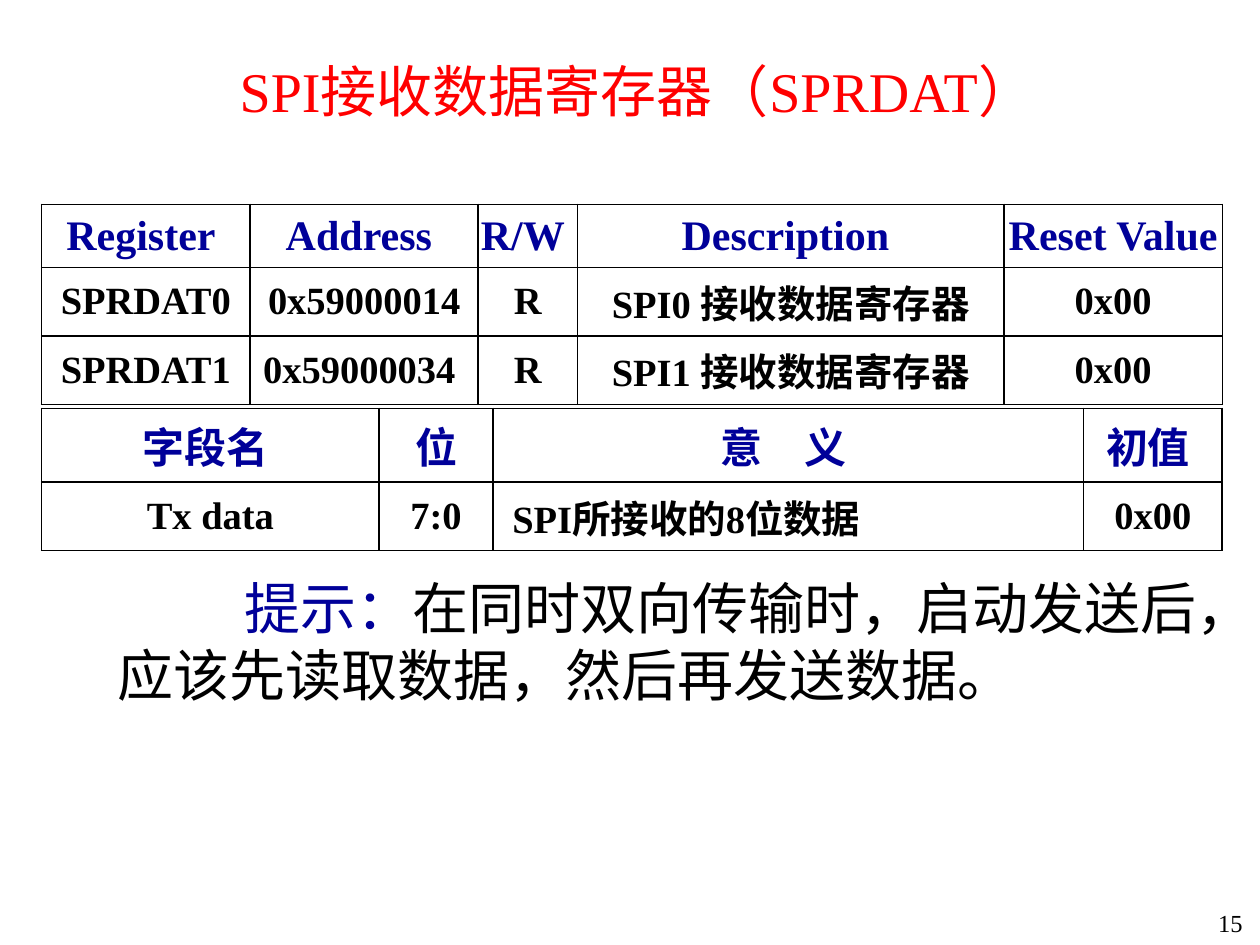
import pptx
import pptx.dml.color
import pptx.enum.text
import pptx.oxml
import pptx.oxml.ns
import pptx.util

Cm, Pt = pptx.util.Cm, pptx.util.Pt
RGBColor = pptx.dml.color.RGBColor
ALIGN = pptx.enum.text.PP_ALIGN
ANCHOR = pptx.enum.text.MSO_ANCHOR
RED = RGBColor(0xFF, 0, 0)
NAVY = RGBColor(0, 0, 0x99)
BLACK = RGBColor(0, 0, 0)
FONT = "Times New Roman"
HANG = 0.95
HEAD = {"size": Pt(24), "bold": True}
BODY = {"size": Pt(22), "bold": True}
LARGE = {"size": Pt(32), "bold": False}
FRAME = {"word_wrap": True, "vertical_anchor": ANCHOR.TOP,
         "auto_size": pptx.enum.text.MSO_AUTO_SIZE.NONE}
CELL = {"vertical_anchor": ANCHOR.MIDDLE, "margin_left": 0, "margin_right": 0,
        "margin_top": Cm(0.13), "margin_bottom": Cm(0.13)}

REGISTERS = [
    ["Register ", "Address ", "R/W ", "Description ", "Reset Value "],
    ["SPRDAT0", "0x59000014", "R", "SPI0 接收数据寄存器", "0x00"],
    ["SPRDAT1", "0x59000034 ", "R", "SPI1 接收数据寄存器", "0x00"],
]
FIELDS = [
    ["字段名 ", "位", "意　义 ", "初值 "],
    ["Tx data", "7:0", "SPI所接收的8位数据", "0x00"],
]


def apply(obj, values):
    """Set each attribute of obj from a dict of values."""
    for name, value in values.items():
        setattr(obj, name, value)


def add_run(p, text, color, fmt):
    """Append a formatted run to a paragraph."""
    r = p.add_run()
    r.text = text
    apply(r.font, {"name": FONT, **fmt})
    r.font.color.rgb = color


def set_indent(p, left, first):
    """Set the left margin and first-line indent, in centimetres."""
    pPr = p._p.get_or_add_pPr()
    pPr.set("marL", str(Cm(left)))
    pPr.set("indent", str(Cm(first)))


def set_borders(cell):
    """Draw a thin black line on all four sides of a cell."""
    tcPr = cell._tc.get_or_add_tcPr()
    for i, side in enumerate(("lnL", "lnR", "lnT", "lnB")):
        ln = pptx.oxml.parse_xml(
            f'<a:{side} {pptx.oxml.ns.nsdecls("a")} w="{Pt(1)}"><a:solidFill>'
            f'<a:srgbClr val="{BLACK}"/></a:solidFill></a:{side}>')
        tcPr.insert(i, ln)


def fill_title(s, x, y, w, h):
    """Place and format the slide title."""
    sp = s.shapes.title
    apply(sp, {"left": Cm(x), "top": Cm(y), "width": Cm(w), "height": Cm(h)})
    apply(sp.text_frame, FRAME)
    p = sp.text_frame.paragraphs[0]
    p.alignment = ALIGN.CENTER
    set_indent(p, HANG, -HANG)
    add_run(p, "SPI接收数据寄存器（SPRDAT）", RED, LARGE)


def add_grid(s, x, y, widths, heights, rows, left_cells=()):
    """Add a bordered table with a navy header row."""
    table = s.shapes.add_table(len(rows), len(widths), Cm(x), Cm(y),
                               Cm(sum(widths)), Cm(sum(heights))).table
    apply(table, {"first_row": False, "horz_banding": False})
    for col, width in zip(table.columns, widths):
        col.width = Cm(width)
    for i, (height, texts) in enumerate(zip(heights, rows)):
        table.rows[i].height = Cm(height)
        for j, text in enumerate(texts):
            cell = table.cell(i, j)
            apply(cell, CELL)
            cell.fill.background()
            set_borders(cell)
            p = cell.text_frame.paragraphs[0]
            if (i, j) in left_cells:
                p.alignment = ALIGN.LEFT
                set_indent(p, 0.39, 0)
            else:
                p.alignment = ALIGN.CENTER
                set_indent(p, HANG, -HANG)
            add_run(p, text, BLACK if i else NAVY, BODY if i else HEAD)


def add_text(s, x, y, w, h):
    """Add an empty wrapping text box and return its paragraph."""
    tf = s.shapes.add_textbox(Cm(x), Cm(y), Cm(w), Cm(h)).text_frame
    apply(tf, FRAME)
    return tf.paragraphs[0]


def add_hint(s, x, y, w, h):
    """Add the hint below the tables."""
    p = add_text(s, x, y, w, h)
    set_indent(p, HANG, 2.55)
    add_run(p, "提示：", NAVY, LARGE)
    add_run(p, "在同时双向传输时，启动发送后，应该先读取数据，然后再发送数据。",
            BLACK, LARGE)


def add_page_number(s, x, y, w, h):
    """Add the page number in the corner."""
    p = add_text(s, x, y, w, h)
    p.alignment = ALIGN.RIGHT
    add_run(p, "15", BLACK, {"size": Pt(14)})


def main():
    """Build and save the slide."""
    prs = pptx.Presentation()
    apply(prs, {"slide_width": Cm(25.4), "slide_height": Cm(19.05)})
    s = prs.slides.add_slide(prs.slide_layouts[5])
    fill_title(s, 1.19, 1.02, 23.3, 2)
    add_grid(s, 0.84, 4.12, [4.2, 4.6, 2, 8.6, 4.4], [1.27, 1.38, 1.38], REGISTERS)
    add_grid(s, 0.84, 8.23, [6.8, 2.3, 11.9, 2.8], [1.48, 1.38], FIELDS, {(1, 2)})
    add_hint(s, 1.17, 11.43, 23.3, 6.3)
    add_page_number(s, 23.37, 18.19, 1.93, 0.86)
    prs.save("out.pptx")


if __name__ == "__main__":
    main()
